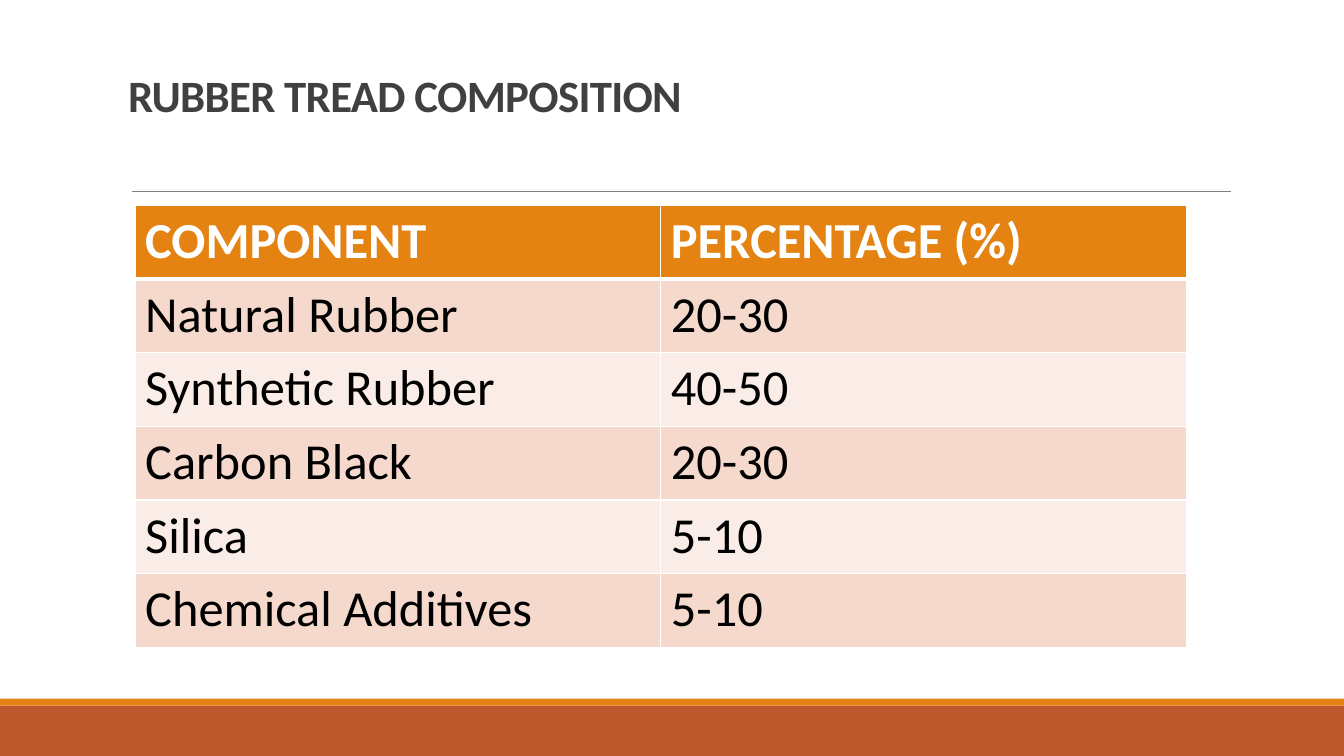
import dataclasses

import pptx
import pptx.dml.color
import pptx.enum.shapes
import pptx.enum.text
import pptx.oxml
import pptx.oxml.ns
import pptx.util


@dataclasses.dataclass(frozen=True)
class Theme:
    font: str = "Calibri"
    title_size: int = 32
    table_size: int = 36
    title: str = "404040"
    rule: str = "808080"
    rust: str = "BD582C"
    orange: str = "E48312"
    white: str = "FFFFFF"
    black: str = "000000"
    bands: tuple[str, str] = ("F5D9CC", "FAEDE7")


@dataclasses.dataclass(frozen=True)
class Box:
    """Left, top, width and height in percent of the slide's size."""

    left: float
    top: float
    width: float
    height: float

    def place(self) -> tuple[int, int, int, int]:
        return x(self.left), y(self.top), x(self.width), y(self.height)


@dataclasses.dataclass(frozen=True)
class Bar:
    box: Box
    color: str


@dataclasses.dataclass(frozen=True)
class Component:
    name: str
    percentage: str


THEME = Theme()
SLIDE_W = pptx.util.Inches(13.33)
SLIDE_H = pptx.util.Inches(7.5)
TITLE_BOX = Box(8.78, 7.47, 82.52, 9.33)
TABLE_BOX = Box(10.05, 27.2, 78.24, 58.4)
RULE_BOX = Box(9.83, 25.33, 81.77, 0)
BARS = [
    Bar(Box(0, 93.33, 100, 6.67), THEME.rust),
    Bar(Box(0, 92.4, 100, 0.93), THEME.orange),
]
HEADER = Component("COMPONENT", "PERCENTAGE (%)")
COMPONENTS = [
    Component("Natural Rubber", "20-30"),
    Component("Synthetic Rubber", "40-50"),
    Component("Carbon Black", "20-30"),
    Component("Silica", "5-10"),
    Component("Chemical Additives", "5-10"),
]


def x(percent: float) -> int:
    return round(SLIDE_W * percent / 100)


def y(percent: float) -> int:
    return round(SLIDE_H * percent / 100)


def rgb(color: str) -> pptx.dml.color.RGBColor:
    return pptx.dml.color.RGBColor.from_string(color)


def add_run(p, text: str, size: int, color: str, bold: bool):
    r = p.add_run()
    r.text = text
    r.font.name = THEME.font
    r.font.size = pptx.util.Pt(size)
    r.font.bold = bold
    r.font.color.rgb = rgb(color)
    return r


def add_bar(slide, bar: Bar) -> None:
    sp = slide.shapes.add_shape(
        pptx.enum.shapes.MSO_SHAPE.RECTANGLE, *bar.box.place())
    sp.shadow.inherit = False
    sp.fill.solid()
    sp.fill.fore_color.rgb = rgb(bar.color)
    sp.line.fill.background()


def add_rule(slide, box: Box) -> None:
    left, top, width, height = box.place()
    line = slide.shapes.add_connector(
        pptx.enum.shapes.MSO_CONNECTOR.STRAIGHT,
        left, top, left + width, top + height)
    line.line.color.rgb = rgb(THEME.rule)
    line.line.width = pptx.util.Pt(0.5)
    line._element.spPr.append(
        pptx.oxml.parse_xml(f"<a:effectLst {pptx.oxml.ns.nsdecls('a')}/>"))


def fill_title(slide, text: str) -> None:
    sp = slide.shapes.title
    sp.left, sp.top, sp.width, sp.height = TITLE_BOX.place()
    tf = sp.text_frame
    tf.word_wrap = True
    tf.auto_size = pptx.enum.text.MSO_AUTO_SIZE.NONE
    tf.vertical_anchor = pptx.enum.text.MSO_ANCHOR.BOTTOM
    p = tf.paragraphs[0]
    p.alignment = pptx.enum.text.PP_ALIGN.LEFT
    p.line_spacing = 0.85
    r = add_run(p, text, THEME.title_size, THEME.title, True)
    r._r.get_or_add_rPr().set("spc", "-50")


def set_borders(cell, widths: dict[str, float]) -> None:
    tc_pr = cell._tc.get_or_add_tcPr()
    for side, width in widths.items():
        tc_pr.append(pptx.oxml.parse_xml(
            f"<a:ln{side} {pptx.oxml.ns.nsdecls('a')} w=\"{pptx.util.Pt(width)}\">"
            f"<a:solidFill><a:srgbClr val=\"{THEME.white}\"/></a:solidFill>"
            f"</a:ln{side}>"))


def add_component_table(slide, components: list[Component]) -> None:
    rows = [HEADER, *components]
    frame = slide.shapes.add_table(len(rows), 2, *TABLE_BOX.place())
    table = frame.table
    table.horz_banding = False
    for i, component in enumerate(rows):
        is_header = i == 0
        fill = THEME.orange if is_header else THEME.bands[(i - 1) % 2]
        color = THEME.white if is_header else THEME.black
        top = 3 if i == 1 else 1
        bottom = 3 if is_header else 1
        for j, text in enumerate(dataclasses.astuple(component)):
            cell = table.cell(i, j)
            set_borders(cell, {"L": 1, "R": 1, "T": top, "B": bottom})
            cell.fill.solid()
            cell.fill.fore_color.rgb = rgb(fill)
            p = cell.text_frame.paragraphs[0]
            add_run(p, text, THEME.table_size, color, is_header)


def main() -> None:
    prs = pptx.Presentation()
    prs.slide_width, prs.slide_height = SLIDE_W, SLIDE_H
    slide = prs.slides.add_slide(prs.slide_layouts[5])
    for bar in BARS:
        add_bar(slide, bar)
    add_rule(slide, RULE_BOX)
    fill_title(slide, "RUBBER TREAD COMPOSITION")
    add_component_table(slide, COMPONENTS)
    prs.save("out.pptx")


if __name__ == "__main__":
    main()
